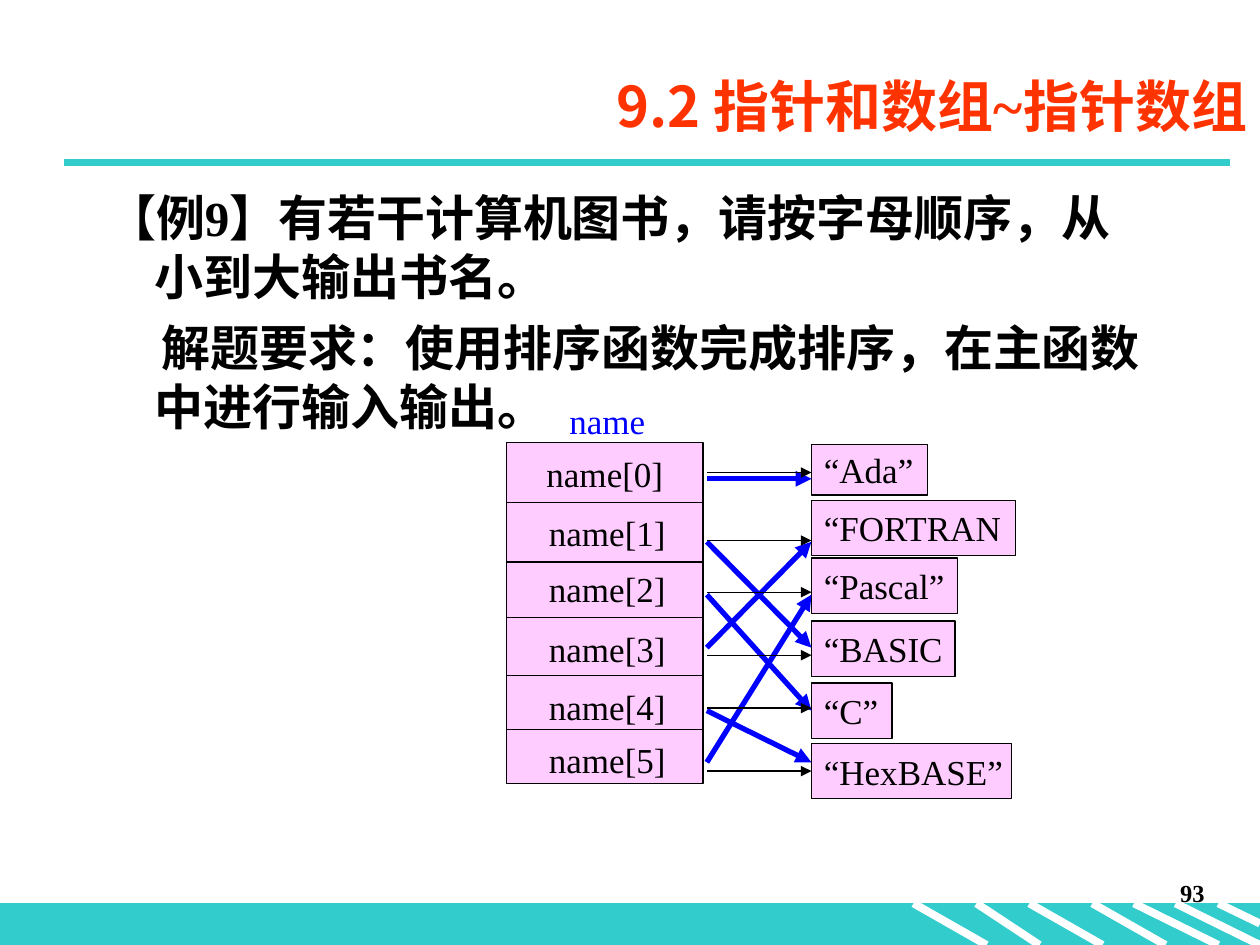
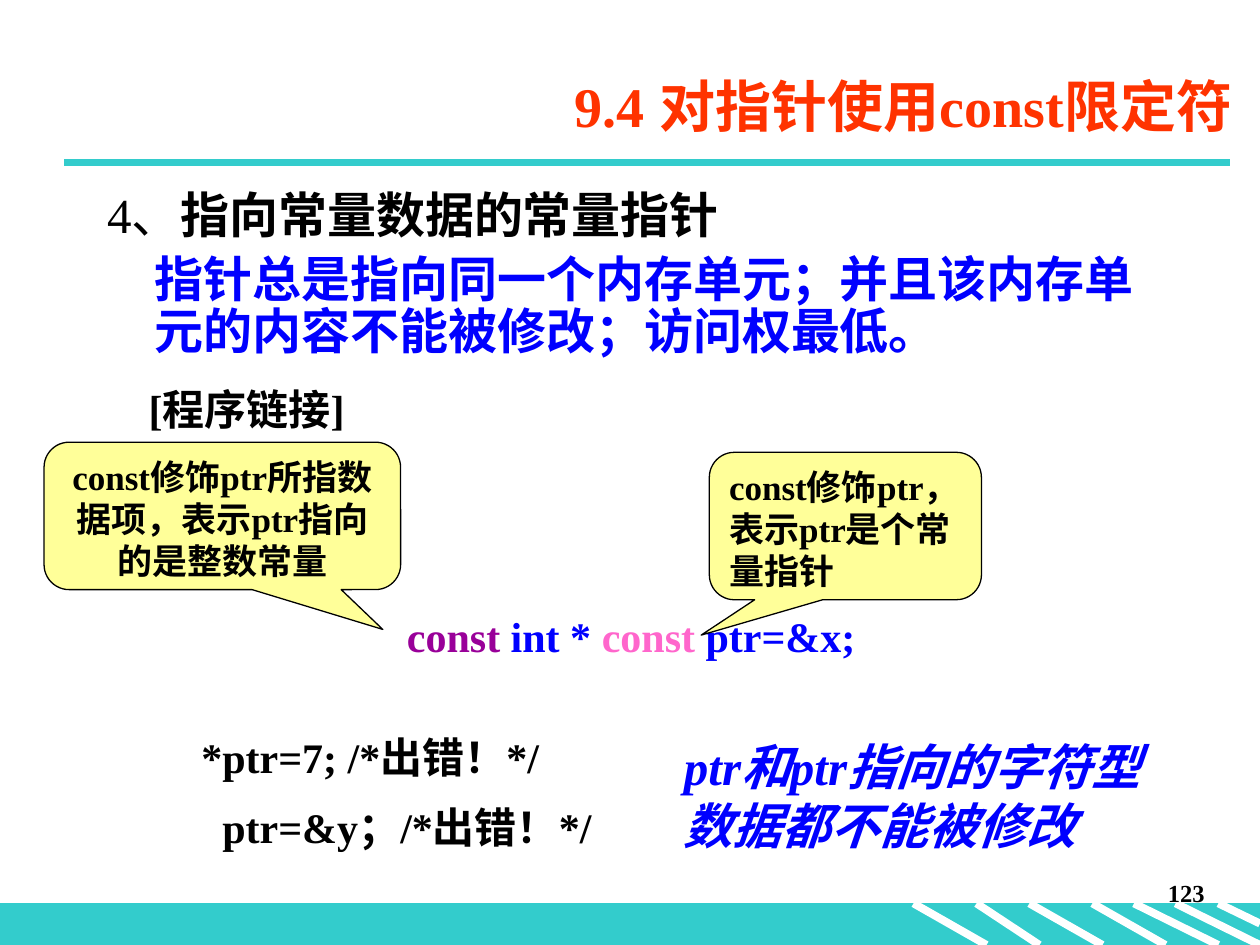
from dataclasses import dataclass
from lxml.etree import SubElement
from pptx import Presentation
from pptx.dml.color import RGBColor
from pptx.enum.shapes import MSO_CONNECTOR, MSO_SHAPE
from pptx.enum.text import MSO_ANCHOR, MSO_AUTO_SIZE, PP_ALIGN
from pptx.oxml.ns import qn
from pptx.util import Inches, Pt


@dataclass(frozen=True)
class Theme:
    """Colours, fonts and type sizes of the deck."""
    teal: str = "33CCCC"
    red: str = "FF3300"
    blue: str = "0000FF"
    pink: str = "FFCCFF"
    cream: str = "FFFF99"
    plum: str = "990099"
    rose: str = "FF66CC"
    ink: str = "000000"
    white: str = "FFFFFF"
    serif: str = "Times New Roman"
    sans: str = "Noto Sans CJK SC"
    head: int = 32
    body: int = 28
    code: int = 24
    label: int = 20
    page: int = 14
    lead: float = 1.2
    tight: float = 1.06
    thin: float = 0.75
    bold: float = 3
    thick: float = 4.5


T = Theme()
COLS, ROWS = 100, 75
WIDTH, HEIGHT = Inches(10), Inches(7.5)


def col(n):
    """Turn grid columns into a length."""
    return round(WIDTH * n / COLS)


def row(n):
    """Turn grid rows into a length."""
    return round(HEIGHT * n / ROWS)


def place(box):
    """Turn a grid box into left, top, width and height."""
    x, y, w, h = box
    return col(x), row(y), col(w), row(h)


def ink(code):
    """Make a colour from its code."""
    return RGBColor.from_string(code)


def write(para, text, size, color=T.ink, bold=False, slant=False, face=T.serif):
    """Add one run of text to a paragraph."""
    run = para.add_run()
    run.text = text
    font = run.font
    font.size, font.bold, font.italic = Pt(size), bold, slant
    font.color.rgb = ink(color)
    font.name = face
    SubElement(run._r.get_or_add_rPr(), qn("a:ea"), typeface=T.sans)


def para(frame, first=False, align=PP_ALIGN.LEFT, left=0, indent=0, gap=0, pitch=None):
    """Start a paragraph with its indent and spacing."""
    item = frame.paragraphs[0] if first else frame.add_paragraph()
    props = item._p.get_or_add_pPr()
    props.set("marL", str(col(left)))
    props.set("indent", str(col(indent)))
    SubElement(props, qn("a:buNone"))
    item.alignment = align
    item.space_before = Pt(gap)
    if pitch:
        item.line_spacing = Pt(round(pitch, 1))
    return item


def setup(frame, anchor=MSO_ANCHOR.TOP, wrap=True):
    """Set how a frame holds its text."""
    frame.word_wrap = wrap
    frame.auto_size = MSO_AUTO_SIZE.NONE
    frame.vertical_anchor = anchor
    return frame


def text(slide, box, anchor=MSO_ANCHOR.TOP, wrap=True):
    """Add a text box and return its frame."""
    return setup(slide.shapes.add_textbox(*place(box)).text_frame, anchor, wrap)


def holder(item, box, anchor=MSO_ANCHOR.TOP):
    """Move a placeholder and return its frame."""
    item.left, item.top, item.width, item.height = place(box)
    return setup(item.text_frame, anchor)


def shape(slide, kind, box, fill, edge=T.ink):
    """Add a flat filled shape."""
    item = slide.shapes.add_shape(kind, *place(box))
    item.shadow.inherit = False
    item.fill.solid()
    item.fill.fore_color.rgb = ink(fill)
    item.line.color.rgb = ink(edge)
    item.line.width = Pt(T.thin)
    return item


def line(slide, start, end, color=T.ink, width=T.thin, arrow=False):
    """Add a straight line or arrow."""
    ends = col(start[0]), row(start[1]), col(end[0]), row(end[1])
    item = slide.shapes.add_connector(MSO_CONNECTOR.STRAIGHT, *ends)
    item.line.color.rgb = ink(color)
    item.line.width = Pt(width)
    props = item.element.spPr
    if arrow:
        SubElement(props.find(qn("a:ln")), qn("a:tailEnd"), type="triangle")
    SubElement(props, qn("a:effectLst"))
    return item


def label(frame, words, color=T.ink, align=PP_ALIGN.CENTER):
    """Write a one-line label."""
    write(para(frame, True, align), words, T.label, color)


def callout(slide, box, tip, words, align):
    """Add a speech callout that points at the code."""
    item = shape(slide, MSO_SHAPE.ROUNDED_RECTANGULAR_CALLOUT, box, T.cream)
    for i, share in enumerate(tip):
        item.adjustments[i] = share
    frame = setup(item.text_frame)
    write(para(frame, True, align, pitch=T.label * T.lead), words, T.label, bold=True)


def brand(slide, layout):
    """Put the footer band and title rule on the layout."""
    for item in list(layout.placeholders)[2:]:
        item.element.getparent().remove(item.element)
    top = 71.7
    parts = [shape(slide, MSO_SHAPE.RECTANGLE, (0, top, COLS, ROWS - top), T.teal, T.teal)]
    slants = [(72.5, 78.3), (77.5, 82.5), (81.7, 87.5), (86.7, 92.5),
              (90, 96.7), (93.3, 100)]
    for start, end in slants:
        parts.append(line(slide, (start, top), (end, ROWS), T.white, T.thick))
    parts.append(line(slide, (96.7, top), (COLS, 73.3), T.white, T.thick))
    parts.append(line(slide, (5.1, 12.9), (97.6, 12.9), T.teal, T.thick))
    for i, item in enumerate(parts):
        layout.shapes.element.insert(2 + i, item.element)


def head(slide, left, runs, page):
    """Fill the title and the page number."""
    frame = holder(slide.shapes.title, (left, 4.4, 85, 7.9), MSO_ANCHOR.MIDDLE)
    item = para(frame, True, PP_ALIGN.RIGHT)
    for words, face in runs:
        write(item, words, T.head, T.red, True, face=face)
    frame = text(slide, (75.8, 69.2, 20.8, 5))
    write(para(frame, True, PP_ALIGN.RIGHT), page, T.page, bold=True)


def sort(slide):
    """Build the slide on sorting book names."""
    head(slide, 15, [("9.2 指针和数组", T.sans), ("~指针数组", T.serif)], "93")
    frame = holder(slide.placeholders[1], (7.5, 14.4, 85, 50.4))
    pitch = T.body * T.lead
    write(para(frame, True, left=3.8, indent=-3.8, pitch=pitch),
          "【例9】有若干计算机图书，请按字母顺序，从小到大输出书名。", T.body, bold=True)
    write(para(frame, left=3.8, indent=0.5, gap=7, pitch=pitch),
          "解题要求：使用排序函数完成排序，在主函数中进行输入输出。", T.body, bold=True)
    array(slide)
    books(slide)
    arrows(slide)


def array(slide):
    """Draw the pointer array."""
    left, top, wide = 40.2, 35.1, 15.6
    shape(slide, MSO_SHAPE.RECTANGLE, (left, top, wide, 27.1), T.pink)
    for y in (39.9, 44.6, 49, 53.6, 57.9):
        line(slide, (left, y), (left + wide, y))
    for i, y in enumerate((35.4, 40.1, 44.5, 49.3, 53.9, 58.1)):
        x = 42.4 if i == 0 else 42.6
        label(text(slide, (x, y, 11.2, 4.4), MSO_ANCHOR.MIDDLE, False), f"name[{i}]")
    label(text(slide, (44.2, 31.2, 8, 4.4), MSO_ANCHOR.MIDDLE, False), "name", T.blue)


def books(slide):
    """Draw the book names the array points to."""
    rows = [("“Ada”", 35.3, 9.2, 4), ("“FORTRAN", 39.7, 16.2, 4.4),
            ("“Pascal”", 44.3, 11.6, 4.4), ("“BASIC", 49.3, 11.4, 4.4),
            ("“C”", 54.2, 6.4, 4.4), ("“HexBASE”", 59, 15.9, 4.4)]
    for words, y, wide, high in rows:
        item = shape(slide, MSO_SHAPE.RECTANGLE, (64.4, y, wide, high), T.pink)
        frame = setup(item.text_frame, MSO_ANCHOR.MIDDLE, False)
        label(frame, words, align=PP_ALIGN.LEFT)


def arrows(slide):
    """Draw the links before and after sorting."""
    left, right = 56.1, 64.4
    ports = (38, 43, 47.2, 51.4, 56.4, 60.5)
    for y, goal in zip(ports, (0, 3, 4, 1, 5, 2)):
        line(slide, (left, y), (right, ports[goal]), T.blue, T.bold, True)
    for y in (37.5, 42.9, 47, 52, 56.2, 61.2):
        line(slide, (left, y), (right, y), arrow=True)


def const(slide):
    """Build the slide on constant pointers to constants."""
    head(slide, 13.8, [("9.4 对指针使用const限定符", T.serif)], "123")
    frame = holder(slide.placeholders[1], (7.5, 14.7, 85, 50.4))
    item = para(frame, True, left=3.8, indent=-3.8, pitch=T.body * T.tight)
    write(item, "4、", T.body)
    write(item, "指向常量数据的常量指针", T.body, bold=True)
    write(para(frame, left=3.8, gap=7, pitch=T.body * T.tight),
          "指针总是指向同一个内存单元；并且该内存单元的内容不能被修改；访问权最低。",
          T.body, T.blue, True)
    write(para(frame, left=3.3, gap=17, pitch=T.code * T.tight),
          "[程序链接]", T.code, bold=True)
    item = para(frame, left=23.8, gap=104, pitch=T.code * T.tight)
    for words, color in [("const", T.plum), (" int * ", T.blue),
                         ("const ", T.rose), ("ptr=&x;", T.blue)]:
        write(item, words, T.code, color, True)
    callout(slide, (56.3, 35.9, 21.6, 11.7), (-0.53, 0.74, 0.17),
            "const修饰ptr，表示ptr是个常量指针", PP_ALIGN.LEFT)
    callout(slide, (3.5, 35.1, 28.3, 11.7), (0.45, 0.77, 0.17),
            "const修饰ptr所指数据项，表示ptr指向的是整数常量", PP_ALIGN.CENTER)
    frame = text(slide, (15, 58, 50, 10.3))
    for i, words in enumerate(("*ptr=7; /*出错！*/", "  ptr=&y；/*出错！*/")):
        item = para(frame, i == 0, gap=15 * i, pitch=T.code * T.tight)
        write(item, words, T.code, bold=True)
    frame = text(slide, (53.3, 58, 39.2, 10.4))
    write(para(frame, True, pitch=T.body * T.lead),
          "ptr和ptr指向的字符型数据都不能被修改", T.body, T.blue, True, True)


def main():
    """Build and save the deck."""
    deck = Presentation()
    deck.slide_width, deck.slide_height = WIDTH, HEIGHT
    layout = deck.slide_layouts[1]
    first = deck.slides.add_slide(layout)
    brand(first, layout)
    sort(first)
    const(deck.slides.add_slide(layout))
    deck.save("out.pptx")


if __name__ == "__main__":
    main()
